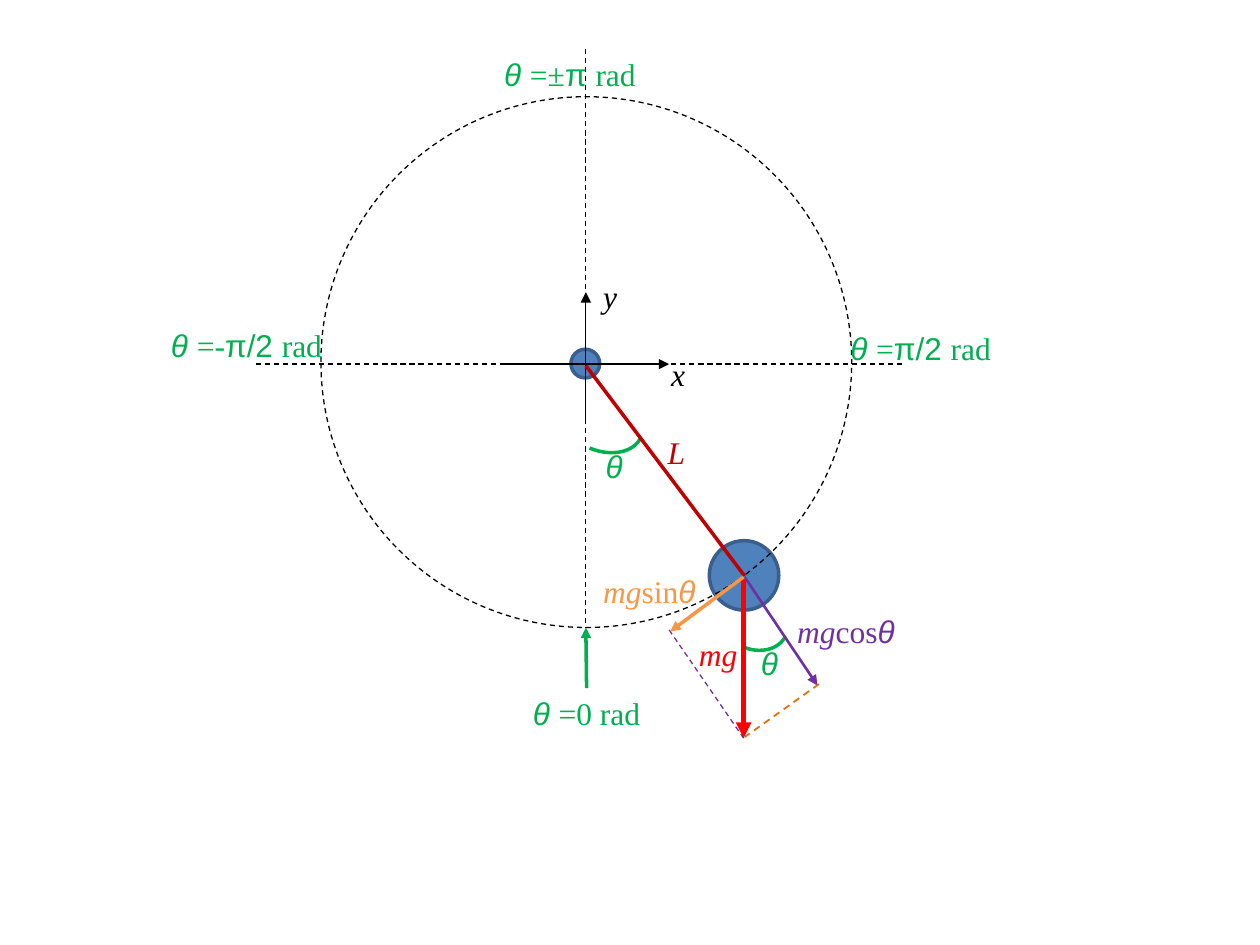
from lxml import etree
from pptx import Presentation
from pptx.dml.color import RGBColor
from pptx.enum import dml, shapes, text
from pptx.oxml import ns
from pptx.util import Cm, Pt

THEME = {
    "black": "000000", "steel": "4F81BD", "navy": "3A5F8C", "green": "00B050",
    "red": "FF0000", "crimson": "C00000", "violet": "7030A0",
    "orange": "F79646", "rust": "E46C0A",
    "size": 18, "serif": "Times New Roman", "sans": "Arial",
}

# Lengths in centimetres; discs: centre, radius, fill, line colour, line width, dashed
DISCS = [
    ((11.8, 7.33), 0.29, "steel", "navy", 2, False),      # pivot
    ((15.0, 11.6), 0.7, "steel", "navy", 2, False),       # bob
    ((11.82, 7.3), 5.35, None, "black", 0.75, True),      # path of the bob
]

# Angle marks: centre, width, height
ANGLES = [((12.09, 8.43), 1.27, 1.83), ((15.18, 12.51), 1.14, 1.45)]
ANGLE_TURN = 115.8
ANGLE_SWEEP = (162, 211.94)

# Lines: start, end, colour, width, style
LINES = [
    ((11.81, 0.99), (11.81, 12.65), "black", 0.75, "dash"),
    ((5.16, 7.34), (18.26, 7.34), "black", 0.75, "dash"),
    ((10.11, 7.34), (13.49, 7.34), "black", 0.75, "arrow"),
    ((11.81, 8.48), (11.81, 5.89), "black", 0.75, "arrow"),
    ((14.99, 11.63), (14.99, 14.88), "red", 3, "arrow"),
    ((11.81, 7.37), (15.01, 11.61), "crimson", 2, "solid"),
    ((15.01, 11.63), (16.48, 13.82), "violet", 1.5, "arrow"),
    ((16.51, 13.79), (15.01, 14.86), "rust", 1, "dash"),
    ((13.49, 12.7), (14.99, 14.88), "violet", 0.75, "dash"),
    ((14.99, 11.63), (13.51, 12.73), "orange", 2, "arrow"),
]
REST_ARROW = ((11.81, 13.87), (11.81, 12.65), "green", 2, "arrow")

# Text pieces: words, font, italic
THETA = ("θ", "sans", True)
THETA_SPACED = ("θ ", "sans", True)
WEIGHT = ("mg", "serif", True)
RAD = ("rad", "serif", False)
HALF_PI = ("π/2 ", "sans", False)

# Labels: left, top, width, colour, centred, pieces
LABEL_HEIGHT = 1.02
LABELS = [
    (11.96, 8.89, 0.99, "green", False, [THETA]),
    (15.09, 12.85, 0.99, "green", False, [THETA]),
    (13.28, 7.04, 1.19, "black", False, [("x", "serif", True)]),
    (11.91, 5.46, 1.19, "black", False, [("y", "serif", True)]),
    (13.21, 8.61, 1.19, "crimson", False, [("L", "serif", True)]),
    (13.84, 12.67, 1.6, "red", False, [WEIGHT]),
    (15.82, 12.22, 3.18, "violet", False, [WEIGHT, ("cos", "serif", False), THETA]),
    (11.91, 11.4, 3.18, "orange", False, [WEIGHT, ("sin", "serif", False), THETA]),
    (16.87, 6.5, 3.38, "green", True,
     [THETA_SPACED, ("=", "serif", False), HALF_PI, RAD]),
    (3.18, 6.45, 3.58, "green", True,
     [THETA_SPACED, ("=-", "serif", False), HALF_PI, RAD]),
    (9.8, 0.99, 3.38, "green", True,
     [THETA_SPACED, ("=±", "serif", False), ("π ", "sans", False), RAD]),
]
REST_LABEL = (10.34, 13.87, 2.97, "green", True,
              [THETA_SPACED, ("=0 rad", "serif", False)])


def color(name):
    return RGBColor.from_string(THEME[name])


def style_line(line, name, width, dashed=False):
    line.color.rgb = color(name)
    line.width = Pt(width)
    if dashed:
        line.dash_style = dml.MSO_LINE.DASH


def add_centred(page, kind, centre, width, height):
    x, y = centre
    shape = page.shapes.add_shape(kind, Cm(x - width / 2), Cm(y - height / 2),
                                  Cm(width), Cm(height))
    shape.shadow.inherit = False
    shape.fill.background()
    return shape


def add_disc(page, centre, radius, fill, outline, width, dashed):
    disc = add_centred(page, shapes.MSO_SHAPE.OVAL, centre, 2 * radius, 2 * radius)
    if fill:
        disc.fill.solid()
        disc.fill.fore_color.rgb = color(fill)
    style_line(disc.line, outline, width, dashed)


def add_angle(page, centre, width, height):
    angle = add_centred(page, shapes.MSO_SHAPE.ARC, centre, width, height)
    angle.rotation = ANGLE_TURN
    for index, value in enumerate(ANGLE_SWEEP):
        angle.adjustments[index] = value
    style_line(angle.line, "green", 2)


def add_line(page, start, end, name, width, style):
    line = page.shapes.add_connector(shapes.MSO_CONNECTOR.STRAIGHT,
                                     *(Cm(value) for value in start + end))
    style_line(line.line, name, width, style == "dash")
    if style == "arrow":
        etree.SubElement(line.line._get_or_add_ln(), ns.qn("a:tailEnd"), type="triangle")
    etree.SubElement(line._element.spPr, ns.qn("a:effectLst"))
    return line


def add_label(page, left, top, width, name, centred, pieces):
    box = page.shapes.add_textbox(Cm(left), Cm(top), Cm(width), Cm(LABEL_HEIGHT))
    box.text_frame.word_wrap = True
    para = box.text_frame.paragraphs[0]
    para.alignment = text.PP_ALIGN.CENTER if centred else text.PP_ALIGN.LEFT
    for words, font, italic in pieces:
        span = para.add_run()
        span.text = words
        span.font.color.rgb = color(name)
        formats = {"name": THEME[font], "size": Pt(THEME["size"]), "italic": italic}
        for key, value in formats.items():
            setattr(span.font, key, value)
    return box


def main():
    deck = Presentation()
    deck.slide_width, deck.slide_height = Cm(25.4), Cm(19.05)
    page = deck.slides.add_slide(deck.slide_layouts[6])
    for add, items in ((add_disc, DISCS), (add_angle, ANGLES),
                       (add_line, LINES), (add_label, LABELS)):
        for item in items:
            add(page, *item)
    rest_label = add_label(page, *REST_LABEL)
    add_line(page, *REST_ARROW).begin_connect(rest_label, 0)
    deck.save("out.pptx")


if __name__ == "__main__":
    main()
